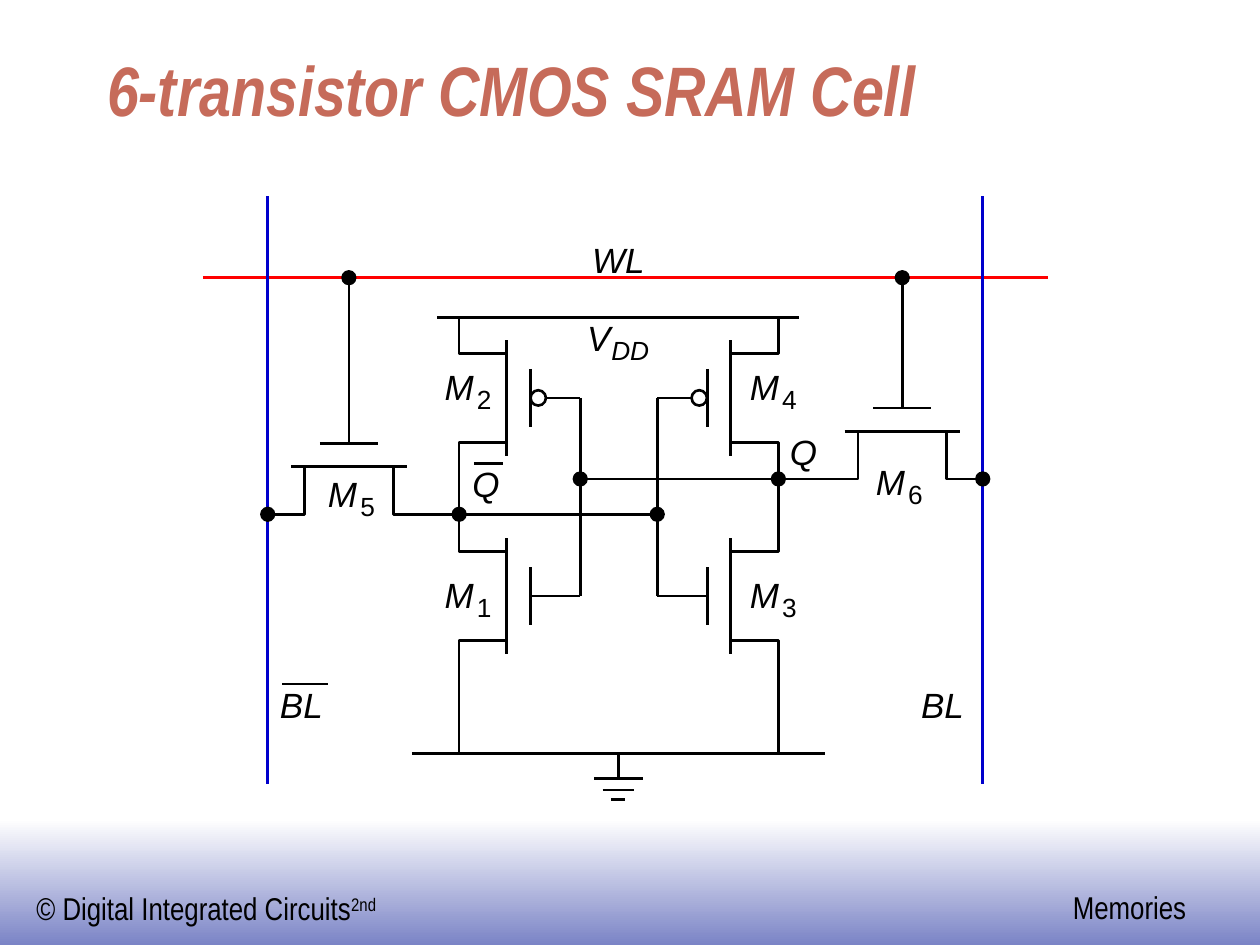
from dataclasses import dataclass

from lxml.etree import SubElement
from pptx import Presentation
from pptx.dml.color import RGBColor
from pptx.enum.shapes import MSO_CONNECTOR, MSO_SHAPE
from pptx.enum.text import MSO_ANCHOR, MSO_AUTO_SIZE, PP_ALIGN
from pptx.oxml.ns import qn
from pptx.util import Pt


@dataclass(frozen=True)
class Theme:
    ink: str = "000000"
    paper: str = "FFFFFF"
    title: str = "C66B5A"
    word_line: str = "FF0000"
    bit_line: str = "0000CC"
    footer: str = "7B84C6"
    title_font: str = "Arial Narrow"
    label_font: str = "Arial"
    title_size: float = 40
    footer_size: float = 18
    label_size: float = 20
    subscript_size: float = 15
    stroke: float = 1.5


class CircuitPage:
    def __init__(self, page, theme):
        self.page = page
        self.theme = theme

    def stroke(self, shape, color):
        shape.line.color.rgb = RGBColor.from_string(color)
        shape.line.width = Pt(self.theme.stroke)

    def span(self, para, text, font, size, color=None, bold=False, italic=False):
        span = para.add_run()
        span.text = text
        span.font.name = font
        span.font.size = Pt(size)
        span.font.bold = bold
        span.font.italic = italic
        span.font.color.rgb = RGBColor.from_string(color or self.theme.ink)
        return span

    def title(self, text):
        theme = self.theme
        box = self.page.shapes.title
        box.left, box.top, box.width, box.height = Pt(54), Pt(24), Pt(612), Pt(54)
        frame = box.text_frame
        frame.auto_size = MSO_AUTO_SIZE.NONE
        frame.vertical_anchor = MSO_ANCHOR.BOTTOM
        para = frame.paragraphs[0]
        para.alignment = PP_ALIGN.LEFT
        self.span(para, text, theme.title_font, theme.title_size, theme.title, True, True)

    def text(self, left, top, width, height, inset_x=0, inset_y=0):
        """Add a fixed-size text box and return its paragraph."""
        box = self.page.shapes.add_textbox(Pt(left), Pt(top), Pt(width), Pt(height))
        frame = box.text_frame
        frame.word_wrap = True
        frame.auto_size = MSO_AUTO_SIZE.NONE
        frame.margin_left = frame.margin_right = Pt(inset_x)
        frame.margin_top = frame.margin_bottom = Pt(inset_y)
        return frame.paragraphs[0]

    def label(self, text, left, top, width):
        para = self.text(left, top, width, 24)
        self.span(para, text, self.theme.label_font, self.theme.label_size, italic=True)

    def subscript(self, text, left, top, width, italic=False):
        para = self.text(left, top, width, 18)
        self.span(para, text, self.theme.label_font, self.theme.subscript_size, italic=italic)

    def footer(self, text, left, top, width, superscript=None):
        theme = self.theme
        para = self.text(left, top, width, 29, 7.2, 3.6)
        self.span(para, text, theme.title_font, theme.footer_size)
        if superscript:
            raised = self.span(para, superscript, theme.title_font, theme.footer_size)
            raised.font._element.set("baseline", "30000")

    def footer_band(self):
        band = self.page.shapes.add_shape(MSO_SHAPE.RECTANGLE, 0, Pt(468), Pt(720), Pt(72))
        band.shadow.inherit = False
        band.line.fill.background()
        band.fill.gradient()
        band.fill.gradient_angle = 270
        for stop, color in zip(band.fill.gradient_stops, (self.theme.paper, self.theme.footer)):
            stop.color.rgb = RGBColor.from_string(color)

    def wire(self, start, end, color=None):
        line = self.page.shapes.add_connector(
            MSO_CONNECTOR.STRAIGHT, *(Pt(value) for value in (*start, *end)))
        self.stroke(line, color or self.theme.ink)
        SubElement(line._element.spPr, qn("a:effectLst"))

    def bent_wire(self, points):
        first, *rest = [(Pt(x), Pt(y)) for x, y in points]
        builder = self.page.shapes.build_freeform(*first)
        builder.add_line_segments(rest, close=False)
        shape = builder.convert_to_shape()
        shape.shadow.inherit = False
        shape.fill.background()
        self.stroke(shape, self.theme.ink)

    def circle(self, center, radius, fill):
        x, y = center
        shape = self.page.shapes.add_shape(
            MSO_SHAPE.OVAL, Pt(x - radius), Pt(y - radius), Pt(2 * radius), Pt(2 * radius))
        shape.shadow.inherit = False
        shape.fill.solid()
        shape.fill.fore_color.rgb = RGBColor.from_string(fill)
        self.stroke(shape, self.theme.ink)

    def transistor(self, center, facing, gate_length, inverted=False):
        """Draw a transistor about its channel centre; facing points to the gate."""
        (x, y), (dx, dy) = center, facing

        def at(along, depth):
            return x + along * abs(dy) + depth * dx, y + along * abs(dx) + depth * dy

        self.wire(at(-33, 0), at(33, 0))
        self.wire(at(-16.6, 13.4), at(16.6, 13.4))
        self.wire(at(0, 13.4), at(0, gate_length))
        for side in (-1, 1):
            self.bent_wire([at(25.4 * side, 0), at(25.4 * side, -27.2), at(46.7 * side, -27.2)])
        if inverted:
            self.circle(at(0, 18), 4.4, self.theme.paper)


def main():
    deck = Presentation()
    deck.slide_width, deck.slide_height = Pt(720), Pt(540)
    theme = Theme()
    cell = CircuitPage(deck.slides.add_slide(deck.slide_layouts[5]), theme)

    cell.footer_band()
    cell.footer("© Digital Integrated Circuits", 13.7, 504.7, 220, "2nd")
    cell.footer("Memories", 606, 504, 84)
    cell.title("6-transistor CMOS SRAM Cell")

    left, right = 262.4, 444.8
    left_gate, right_gate = 331.6, 375.6
    left_bit, right_bit = 153, 561.6
    left_access, right_access = 199.4, 515.6
    q_y, q_bar_y = 273.7, 293.9
    supply, ground, word = 181.4, 430.6, 158.7
    upper_gate, lower_gate = 227.4, 340.6

    # Lines and internal wiring
    cell.wire((116, word), (599, word), theme.word_line)
    for x in (left_bit, right_bit):
        cell.wire((x, 112.3), (x, 448), theme.bit_line)
    cell.wire((250, supply), (456.5, supply))
    cell.wire((235.4, ground), (471.6, ground))
    cell.wire((left_gate, q_y), (right, q_y))
    cell.wire((right, q_y), (469, q_y))
    cell.wire((left, q_bar_y), (right_gate, q_bar_y))
    cell.wire((245.6, q_bar_y), (left, q_bar_y))
    for x in (left_gate, right_gate):
        cell.wire((x, upper_gate), (x, lower_gate))
    for x in (left, right):
        cell.wire((x, q_y), (x, q_bar_y + 1))
        cell.wire((x, 387), (x, ground))

    # Inverter pair and access transistors
    for x, facing in ((289.6, (1, 0)), (417.6, (-1, 0))):
        for y in (upper_gate, lower_gate):
            cell.transistor((x, y), facing, 42, inverted=y == upper_gate)
    for x, y in ((left_access, 266.7), (right_access, 246.5)):
        cell.transistor((x, y), (0, -1), y - word)

    junctions = (
        (left_bit, q_bar_y), (left, q_bar_y), (right_gate, q_bar_y),
        (left_gate, q_y), (right, q_y), (right_bit, q_y),
        (left_access, word), (right_access, word),
    )
    for junction in junctions:
        cell.circle(junction, 3.6, theme.ink)

    # Ground symbol
    ground_x = 353.4
    cell.wire((ground_x, ground), (ground_x, 445))
    for y, half_width in ((445, 13.8), (451.4, 9), (456.8, 4)):
        cell.wire((ground_x - half_width, y), (ground_x + half_width, y))

    # Labels
    for text, x, y, width in (
        ("WL", 338.4, 136, 36), ("BL", 526.3, 390.4, 29), ("BL", 160, 390.4, 29),
        ("Q", 451.4, 246, 19), ("Q", 270, 264.2, 19), ("V", 335.5, 181, 16),
    ):
        cell.label(text, x, y, width)
    cell.subscript("DD", 349.3, 190.8, 27, italic=True)
    for number, x, y in (
        ("1", 254, 327.6), ("2", 254, 208.8), ("3", 428.5, 327.6),
        ("4", 428.5, 208.8), ("5", 187.4, 270), ("6", 500.5, 263.3),
    ):
        cell.label("M", x, y, 18.5)
        cell.subscript(number, x + 18.5, y + 10, 11)
    for start, end, y in ((161.2, 187.7, 390.8), (270.8, 287.5, 264.8)):
        cell.wire((start, y), (end, y))

    deck.save("out.pptx")


if __name__ == "__main__":
    main()
